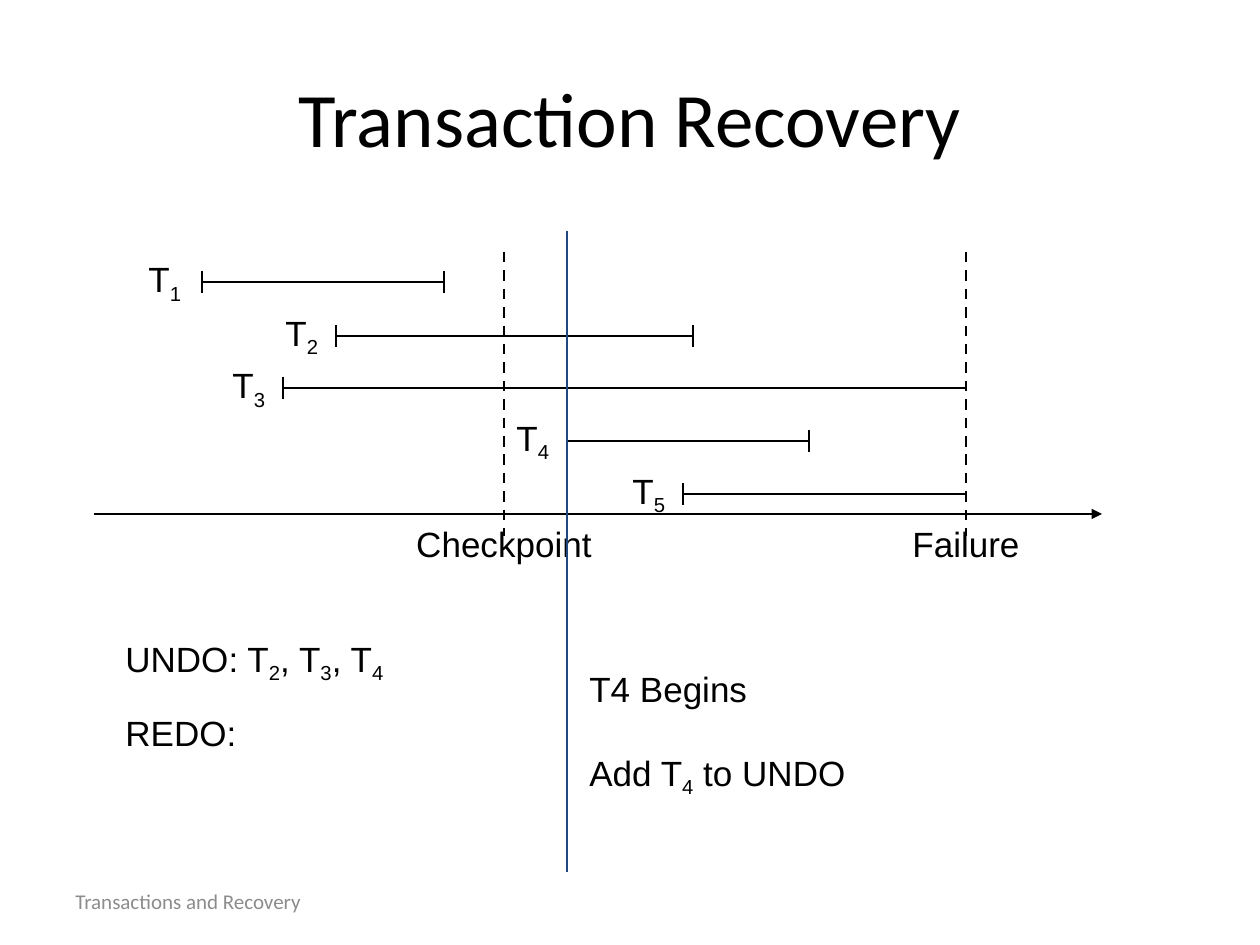
import pptx
import pptx.util
import pptx.dml.color
import pptx.enum.dml
import pptx.enum.shapes
import pptx.enum.text
import pptx.oxml
import pptx.oxml.ns

Pt = pptx.util.Pt
Align = pptx.enum.text.PP_ALIGN
Anchor = pptx.enum.text.MSO_ANCHOR
Dash = pptx.enum.dml.MSO_LINE.DASH
SCALE = 914400 // 126
BLACK, NAVY, GRAY = "000000", "1F497D", "8C8C8C"
CHECK, BEGIN, FAIL, AXIS = 504, 567, 966, 514
TICK = 11
SPANS = [
    ("T_1", 136, 202, 444, 282),
    ("T_2", 273, 336, 693, 336),
    ("T_3", 220, 283, FAIL, 388),
    ("T_4", 504, BEGIN, 809, 441),
    ("T_5", 620, 683, FAIL, 494),
]


def px(*nums):
    return [pptx.util.Emu(num * SCALE) for num in nums]


def paint(color, code):
    color.rgb = pptx.dml.color.RGBColor.from_string(code)


def node(text):
    return pptx.oxml.parse_xml(text % pptx.oxml.ns.nsdecls("a"))


def style(para, size, face, code, align):
    para.font.size = Pt(size)
    para.font.name = face
    paint(para.font.color, code)
    para.alignment = align


def fill(para, text):
    first, *rest = text.split("_")
    para.add_run().text = first
    for part in rest:
        low = para.add_run()
        low.text = part[0]
        low.font._element.set("baseline", "-25000")
        if part[1:]:
            para.add_run().text = part[1:]


def label(slide, box, lines, size=20, face="Arial", code=BLACK,
          align=Align.LEFT, wrap=False, anchor=Anchor.TOP, gap=0):
    frame = slide.shapes.add_textbox(*px(*box)).text_frame
    frame.word_wrap = wrap
    frame.vertical_anchor = anchor
    for num, text in enumerate(lines):
        para = frame.add_paragraph() if num else frame.paragraphs[0]
        style(para, size, face, code, align)
        fill(para, text)
        if num:
            para.space_before = Pt(gap)


def line(slide, ends, code=BLACK, dash=None, arrow=False):
    kind = pptx.enum.shapes.MSO_CONNECTOR.STRAIGHT
    item = slide.shapes.add_connector(kind, *px(*ends))
    item.line.width = Pt(1.5)
    paint(item.line.color, code)
    if dash:
        item.line.dash_style = dash
    if arrow:
        item.line._get_or_add_ln().append(
            node('<a:tailEnd %s type="triangle"/>'))
    item._element.spPr.append(node("<a:effectLst %s/>"))


def span(slide, name, left, start, stop, y):
    line(slide, (start, y, stop, y))
    for x in (start, stop):
        if x != FAIL:
            line(slide, (x, y - TICK, x, y + TICK))
    label(slide, (left, y - 31, 59, 54), [name])


def title(slide, text):
    shape = slide.shapes.title
    shape.left, shape.top, shape.width, shape.height = px(63, 38, 1134, 158)
    shape.text_frame.text = text
    shape.text_frame.vertical_anchor = Anchor.MIDDLE
    style(shape.text_frame.paragraphs[0], 44, "Calibri", BLACK, Align.CENTER)


def main():
    deck = pptx.Presentation()
    deck.slide_width, deck.slide_height = px(1260, 945)
    slide = deck.slides.add_slide(deck.slide_layouts[5])
    title(slide, "Transaction Recovery")
    label(slide, (63, 876, 294, 50), ["Transactions and Recovery"], size=12,
          face="Calibri", code=GRAY, wrap=True, anchor=Anchor.MIDDLE)
    for x in (CHECK, FAIL):
        line(slide, (x, 252, x, 536), dash=Dash)
    line(slide, (94, AXIS, 1102, AXIS), arrow=True)
    for row in SPANS:
        span(slide, *row)
    for x, wide, text in ((CHECK, 212, "Checkpoint"), (FAIL, 144, "Failure")):
        label(slide, (x - wide // 2, 516, wide, 54), [text],
              align=Align.CENTER)
    label(slide, (113, 631, 381, 54), ["UNDO: T_2, T_3, T_4"], wrap=True)
    label(slide, (113, 705, 146, 54), ["REDO:"])
    line(slide, (BEGIN, 231, BEGIN, 872), code=NAVY)
    label(slide, (577, 661, 533, 139), ["T4 Begins", "Add T_4 to UNDO"],
          wrap=True, gap=24)
    deck.save("out.pptx")


if __name__ == "__main__":
    main()
